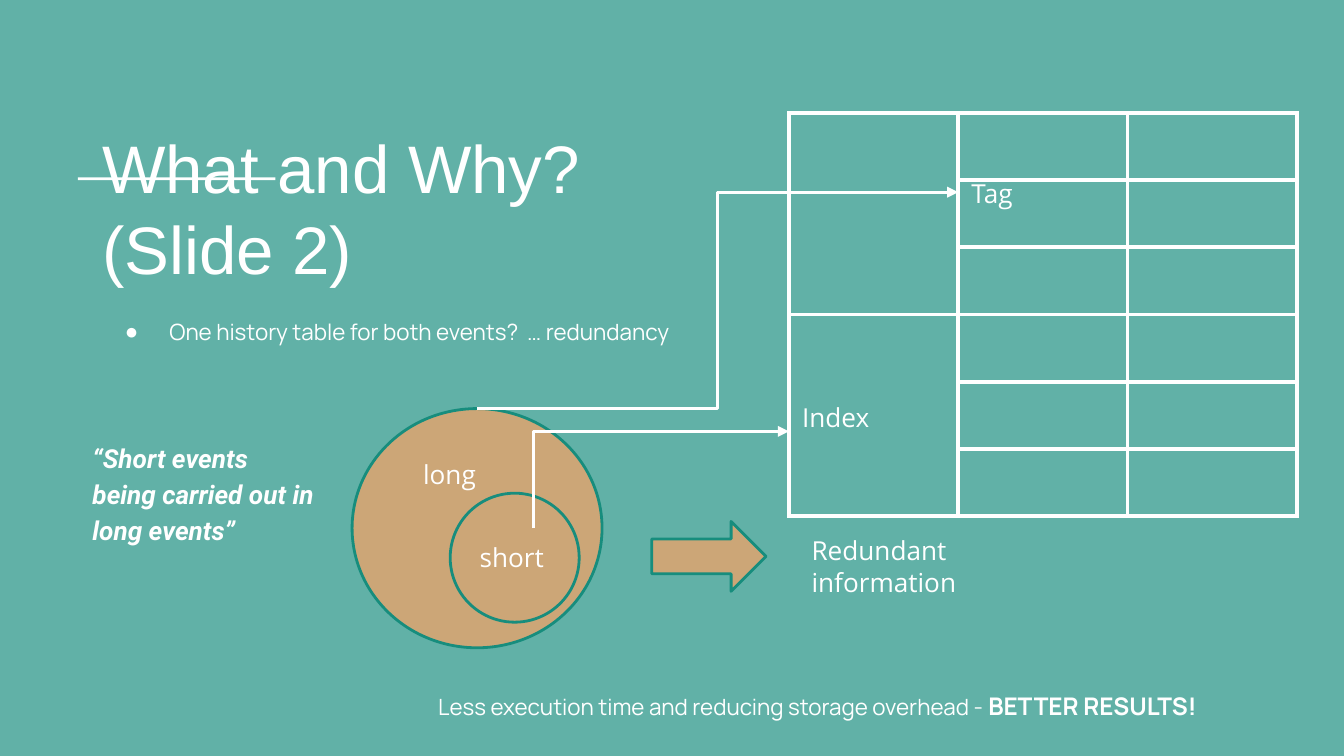
from lxml import etree
from pptx import Presentation
from pptx.dml.color import RGBColor
from pptx.enum import shapes, text
from pptx.oxml import ns
from pptx import util as u

WHITE = RGBColor(0xFF, 0xFF, 0xFF)
TEAL = RGBColor(0x17, 0x8D, 0x7D)
PALE_TEAL = RGBColor(0x61, 0xB1, 0xA7)
TAN = RGBColor(0xCC, 0xA6, 0x77)
MARGINS = dict.fromkeys(
    ("margin_left", "margin_top", "margin_right", "margin_bottom"), u.Inches(0.1))


def apply(obj, **values):
    for name, value in values.items():
        setattr(obj, name, value)


def write(p, content, font, size, **values):
    r = p.add_run()
    r.text = content
    apply(r.font, name=font, size=u.Pt(size), **values)
    r.font.color.rgb = WHITE


# Widescreen 16:9 slide
prs = Presentation()
apply(prs, slide_width=u.Inches(10), slide_height=u.Inches(10 * 9 / 16))
s = prs.slides.add_slide(prs.slide_layouts[1])
s.background.fill.solid()
s.background.fill.fore_color.rgb = PALE_TEAL

# Title and body placeholders
title, body = s.shapes.title, s.placeholders[1]
for sp, (x, y, w, h), anchor in (
        (title, (0.66, 1.43, 4.3, 0.81), text.MSO_ANCHOR.BOTTOM),
        (body, (0.66, 2.24, 8.67, 3.23), text.MSO_ANCHOR.TOP)):
    apply(sp, left=u.Inches(x), top=u.Inches(y), width=u.Inches(w), height=u.Inches(h))
    apply(sp.text_frame, word_wrap=True, auto_size=text.MSO_AUTO_SIZE.NONE,
          vertical_anchor=anchor, **MARGINS)

p = title.text_frame.paragraphs[0]
p.alignment = text.PP_ALIGN.LEFT
write(p, "What and Why? (Slide 2)", "Arial", 36)

question = body.text_frame.paragraphs[0]
result = body.text_frame.add_paragraph()
for p, left, indent, before, bullet in (
        (question, 0.5, -0.33, 0, "●"), (result, 2, 0.5, 183, None)):
    pPr = p._p.get_or_add_pPr()
    pPr.set("marL", str(u.Inches(left)))
    pPr.set("indent", str(u.Inches(indent)))
    if bullet:
        etree.SubElement(pPr, ns.qn("a:buChar")).set("char", bullet)
    else:
        etree.SubElement(pPr, ns.qn("a:buNone"))
    apply(p, line_spacing=1.15, space_before=u.Pt(before))
write(question, "One history table for both events?  … redundancy", "Manrope", 12)
write(result, "Less execution time and reducing storage overhead - ", "Manrope", 12)
write(result, "BETTER RESULTS!", "Manrope", 13, bold=True)

# Accent bar, event circles and arrow
for kind, x, y, w, h, fill, line in (
        (shapes.MSO_SHAPE.RECTANGLE, 0.58, 1.32, 1.47, 0.02, WHITE, None),
        (shapes.MSO_SHAPE.OVAL, 2.62, 3.04, 1.86, 1.78, TAN, TEAL),
        (shapes.MSO_SHAPE.OVAL, 3.35, 3.67, 0.96, 0.96, TAN, TEAL),
        (shapes.MSO_SHAPE.RIGHT_ARROW, 4.85, 3.88, 0.85, 0.52, TAN, TEAL)):
    sp = s.shapes.add_shape(kind, u.Inches(x), u.Inches(y), u.Inches(w), u.Inches(h))
    sp.shadow.inherit = False
    sp.fill.solid()
    sp.fill.fore_color.rgb = fill
    if line:
        sp.line.color.rgb = line
        sp.line.width = u.Pt(1.5)
    else:
        sp.line.fill.background()

# History table: first column merged in two blocks of three rows
ROWS, COLS, ROW_H, COL_W = 6, 3, 0.5, 1.26
table = s.shapes.add_table(ROWS, COLS, u.Inches(5.87), u.Inches(0.84),
                           u.Inches(COLS * COL_W), u.Inches(ROWS * ROW_H)).table
apply(table, first_row=False, horz_banding=False)
for col in table.columns:
    col.width = u.Inches(COL_W)
for cell in table.iter_cells():
    tcPr = cell._tc.get_or_add_tcPr()
    for side in ("a:lnL", "a:lnR", "a:lnT", "a:lnB"):
        ln = etree.SubElement(tcPr, ns.qn(side), w=str(u.Pt(2.25)))
        fill = etree.SubElement(ln, ns.qn("a:solidFill"))
        etree.SubElement(fill, ns.qn("a:srgbClr"), val=str(WHITE))
    cell.fill.background()
for top in (0, 3):
    table.cell(top, 0).merge(table.cell(top + 2, 0))

# Elbow arrows; the short-event one is turned so that it rises, then runs right
for x1, y1, x2, y2, preset, turn in (
        (4.56, 2.62, 5.28, 4.52, "bentConnector2", 270),
        (3.55, 3.04, 7.13, 1.43, "bentConnector3", 0)):
    c = s.shapes.add_connector(shapes.MSO_CONNECTOR.ELBOW, u.Inches(x1), u.Inches(y1),
                               u.Inches(x2), u.Inches(y2))
    c.line.color.rgb = WHITE
    c.line.width = u.Pt(1.5)
    spPr = c._element.spPr
    spPr.find(ns.qn("a:prstGeom")).set("prst", preset)
    if turn:
        spPr.find(ns.qn("a:xfrm")).set("rot", str(turn * 60000))
    etree.SubElement(spPr.find(ns.qn("a:ln")), ns.qn("a:tailEnd"), type="triangle")
    etree.SubElement(spPr, ns.qn("a:effectLst"))

# Labels and quote
PLAIN = dict(font="Open Sans", size=14)
QUOTE = dict(font="Roboto", size=14, bold=True, italic=True)
for content, x, y, w, h, spacing, style in (
        ("long", 3.05, 3.31, 1, 0.44, 1, PLAIN),
        ("short", 3.47, 3.93, 1.01, 0.44, 1, PLAIN),
        ("Redundant information", 5.94, 3.88, 1.33, 0.67, 1, PLAIN),
        ("Tag", 7.13, 1.22, 0.7, 0.44, 1, PLAIN),
        ("Index", 5.87, 2.89, 0.96, 0.44, 1, PLAIN),
        ("“Short events being carried out in long events”",
         0.59, 3.16, 1.86, 0.98, 1.15, QUOTE)):
    tf = s.shapes.add_textbox(u.Inches(x), u.Inches(y), u.Inches(w), u.Inches(h)).text_frame
    apply(tf, word_wrap=True, **MARGINS)
    tf.paragraphs[0].line_spacing = spacing
    write(tf.paragraphs[0], content, **style)

prs.save("out.pptx")
